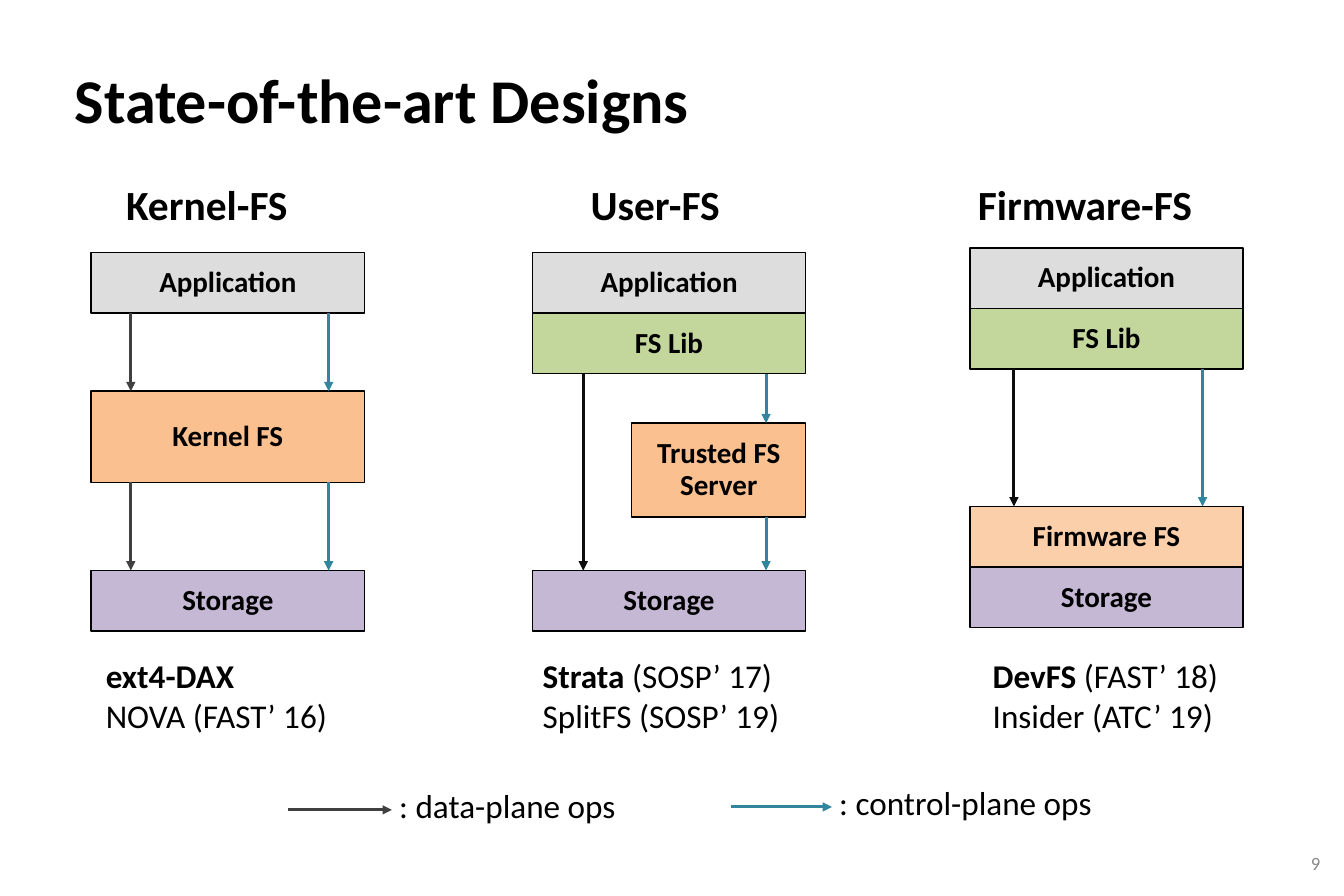
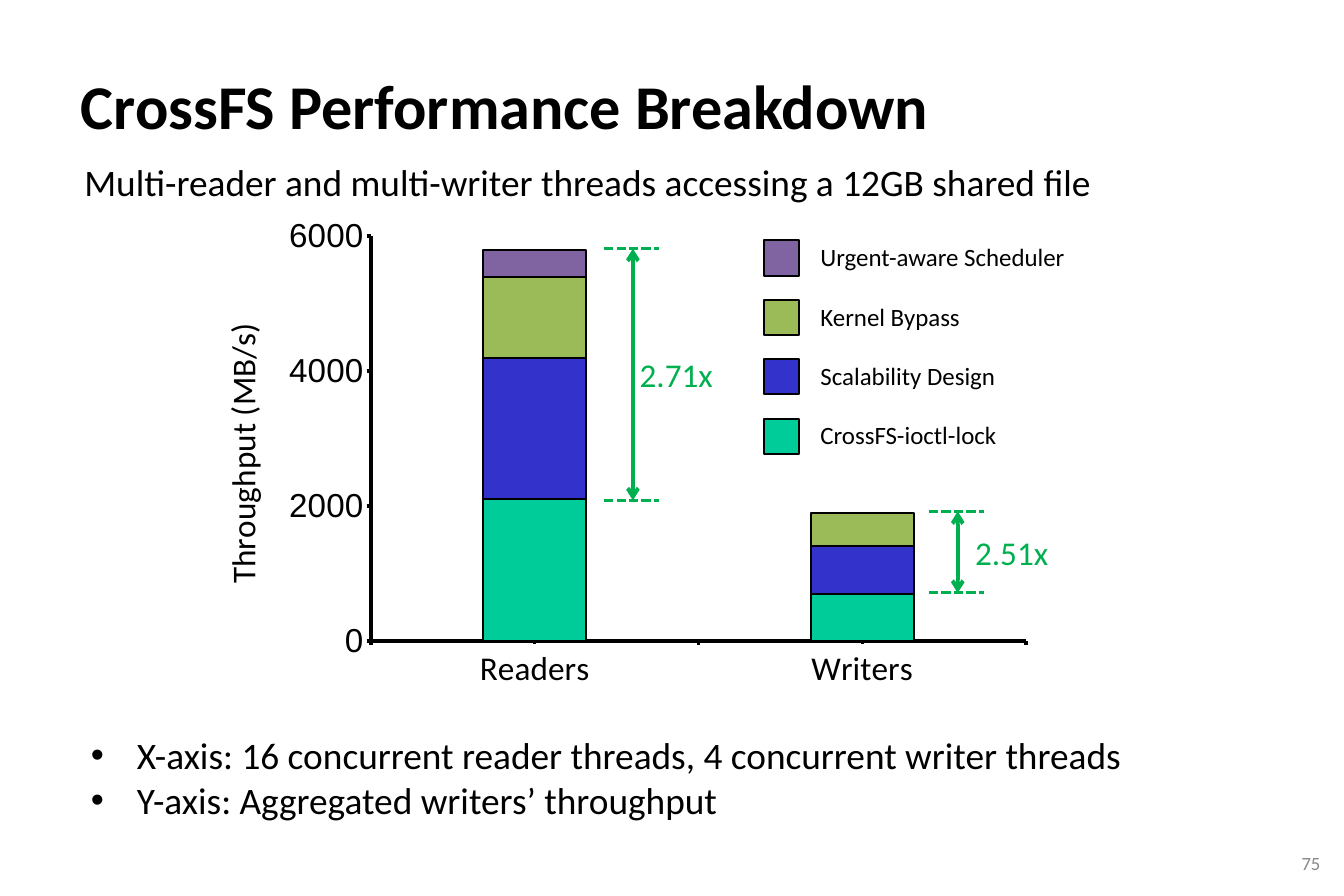
import dataclasses

import lxml.etree
import pptx
import pptx.chart.data
import pptx.dml.color
import pptx.enum.chart
import pptx.enum.dml
import pptx.enum.shapes
import pptx.enum.text
import pptx.oxml.ns
import pptx.util

Cm = pptx.util.Cm
Pt = pptx.util.Pt
qn = pptx.oxml.ns.qn
ALIGN = pptx.enum.text.PP_ALIGN
ANCHOR = pptx.enum.text.MSO_ANCHOR
TICK = pptx.enum.chart.XL_TICK_MARK


@dataclasses.dataclass(frozen=True)
class Theme:
    font: str = "Calibri"
    axis_font: str = "Arial"
    ink: str = "000000"
    muted: str = "888888"
    data: str = "404040"
    direct: str = "0D0D0D"
    control: str = "31859C"
    gain: str = "00B050"
    application: tuple = ("DDDDDD", 100)
    library: tuple = ("C3D69B", 100)
    kernel: tuple = ("FAC090", 100)
    firmware: tuple = ("FAC090", 76)
    storage: tuple = ("B3A2C7", 76)
    series: tuple = ("00CC99", "3333CC", "9BBB59", "8064A2")
    title: int = 60
    heading: int = 40
    body: int = 36
    label: int = 32
    layer: int = 28
    key: int = 24
    number: int = 18


THEME = Theme()


def rgb(value):
    return pptx.dml.color.RGBColor.from_string(value)


def write(frame, *lines, size=THEME.label, color=THEME.ink, bold=False, font=THEME.font,
          align=ALIGN.LEFT, spacing=None, indent=None):
    for index, line in enumerate(lines):
        paragraph = frame.paragraphs[0] if index == 0 else frame.add_paragraph()
        paragraph.alignment = align
        if spacing:
            paragraph.line_spacing = spacing
        if indent:
            properties = paragraph._p.get_or_add_pPr()
            properties.set("marL", str(Cm(indent)))
            properties.set("indent", str(-Cm(indent)))
            lxml.etree.SubElement(properties, qn("a:buFont"), typeface=THEME.axis_font)
            lxml.etree.SubElement(properties, qn("a:buChar"), char="•")
        for text, strong in [(line, bold)] if isinstance(line, str) else line:
            run = paragraph.add_run()
            run.text = text
            run.font.name = font
            run.font.size = Pt(size)
            run.font.bold = strong
            run.font.color.rgb = rgb(color)


def set_frame(frame, anchor=ANCHOR.TOP, inset=(0.25, 0.13)):
    frame.word_wrap = True
    frame.auto_size = pptx.enum.text.MSO_AUTO_SIZE.NONE
    frame.vertical_anchor = anchor
    frame.margin_left = frame.margin_right = Cm(inset[0])
    frame.margin_top = frame.margin_bottom = Cm(inset[1])


def add_text(shapes, left, top, width, height, *lines, anchor=ANCHOR.TOP, **style):
    frame = shapes.add_textbox(Cm(left), Cm(top), Cm(width), Cm(height)).text_frame
    set_frame(frame, anchor)
    write(frame, *lines, **style)


def add_rect(shapes, left, top, width, height, fill, alpha=100, weight=1.5):
    rect = shapes.add_shape(pptx.enum.shapes.MSO_SHAPE.RECTANGLE,
                            Cm(left), Cm(top), Cm(width), Cm(height))
    rect.shadow.inherit = False
    rect.fill.solid()
    rect.fill.fore_color.rgb = rgb(fill)
    if alpha < 100:
        tint = rect._element.spPr.find(qn("a:solidFill"))[0]
        lxml.etree.SubElement(tint, qn("a:alpha"), val=str(alpha * 1000))
    rect.line.color.rgb = rgb(THEME.ink)
    rect.line.width = Pt(weight)
    return rect


def add_line(shapes, x1, y1, x2, y2, color, weight=3, head=None, tail=None, dash=None):
    line = shapes.add_connector(pptx.enum.shapes.MSO_CONNECTOR.STRAIGHT,
                                Cm(x1), Cm(y1), Cm(x2), Cm(y2))
    line.line.color.rgb = rgb(color)
    line.line.width = Pt(weight)
    if dash:
        line.line.dash_style = dash
    stroke = line._element.spPr.find(qn("a:ln"))
    for tag, kind in (("a:headEnd", head), ("a:tailEnd", tail)):
        if kind:
            lxml.etree.SubElement(stroke, qn(tag), type=kind)
    lxml.etree.SubElement(line._element.spPr, qn("a:effectLst"))


def start_slide(deck, title, number, left, top):
    slide = deck.slides.add_slide(deck.slide_layouts[5])
    heading = slide.shapes.title
    heading.left, heading.top, heading.width, heading.height = map(Cm, (left, top, 40.1, 3.68))
    set_frame(heading.text_frame, inset=(0.13, 0.13))
    write(heading.text_frame, title, size=THEME.title, bold=True, spacing=1.41)
    add_text(slide.shapes, 42.9, 28.83, 2.27, 1.07, number, size=THEME.number,
             color=THEME.muted, align=ALIGN.RIGHT, anchor=ANCHOR.MIDDLE)
    return slide


@dataclasses.dataclass(frozen=True)
class Layer:
    text: str
    top: float
    fill: tuple
    indent: float = 0
    height: float = 2.06


@dataclasses.dataclass(frozen=True)
class Design:
    heading: str
    left: float
    heading_indent: float
    layers: tuple
    flows: tuple
    papers: tuple
    papers_indent: float


DESIGNS = (
    Design("Kernel-FS", 3.1, 0.94,
           (Layer("Application", 2.62, THEME.application),
            Layer("Kernel FS", 7.34, THEME.kernel, height=3.1),
            Layer("Storage", 13.44, THEME.storage)),
           ((1.35, 0, 1, THEME.data), (8.08, 0, 1, THEME.control),
            (1.35, 1, 2, THEME.data), (8.08, 1, 2, THEME.control)),
           ([("ext4-DAX", True)], "NOVA (FAST’ 16)"), 0.25),
    Design("User-FS", 18.11, 1.73,
           (Layer("Application", 2.62, THEME.application),
            Layer("FS Lib", 4.68, THEME.library),
            Layer("Trusted FS Server", 8.43, THEME.kernel, indent=3.38, height=3.18),
            Layer("Storage", 13.44, THEME.storage)),
           ((1.73, 1, 3, THEME.direct), (7.95, 1, 2, THEME.control),
            (7.95, 2, 3, THEME.control)),
           ([("Strata", True), (" (SOSP’ 17)", False)], "SplitFS (SOSP’ 19)"), 0.1),
    Design("Firmware-FS", 32.99, 0.03,
           (Layer("Application", 2.46, THEME.application),
            Layer("FS Lib", 4.52, THEME.library),
            Layer("Firmware FS", 11.26, THEME.firmware),
            Layer("Storage", 13.32, THEME.storage)),
           ((1.5, 1, 2, THEME.direct), (7.92, 1, 2, THEME.control)),
           ([("DevFS", True), (" (FAST’ 18)", False)], "Insider (ATC’ 19)"), 0.53),
)


def design_column(slide, design, top, width):
    shapes = slide.shapes.add_group_shape().shapes
    left = design.left
    add_text(shapes, left + design.heading_indent, top, width, 1.96, design.heading,
             size=THEME.heading, bold=True)
    for layer in design.layers:
        rect = add_rect(shapes, left + layer.indent, top + layer.top,
                        width - layer.indent, layer.height, *layer.fill)
        set_frame(rect.text_frame, ANCHOR.MIDDLE, inset=(0.13, 0))
        write(rect.text_frame, layer.text, size=THEME.layer, bold=True,
              align=ALIGN.CENTER, spacing=0.93)
    for x, source, target, color in design.flows:
        upper, lower = design.layers[source], design.layers[target]
        add_line(shapes, left + x, top + upper.top + upper.height,
                 left + x, top + lower.top, color, tail="triangle")
    add_text(shapes, left + design.papers_indent, top + 16.2, width, 3, *design.papers)


def flow_key(slide, left, top, length, text, color):
    shapes = slide.shapes.add_group_shape().shapes
    add_text(shapes, left + length, top, 9.3, 1.63, text)
    add_line(shapes, left, top + 0.98, left + length, top + 0.98, color, tail="triangle")


def throughput_chart(slide, left, top, width, height):
    content = pptx.chart.data.CategoryChartData()
    content.categories = ["Readers", "Writers"]
    for number, values in enumerate(((2100, 700), (2100, 700), (1200, 500), (400, 0)), 1):
        content.add_series(f"Series {number}", values)
    chart = slide.shapes.add_chart(pptx.enum.chart.XL_CHART_TYPE.COLUMN_STACKED,
                                   Cm(left), Cm(top), Cm(width), Cm(height), content).chart
    chart.has_legend = chart.has_title = False
    chart.font.name = THEME.axis_font
    chart.font.size = Pt(10)
    chart.font.color.rgb = rgb(THEME.ink)
    bars = chart.plots[0]
    bars.gap_width, bars.overlap, bars.vary_by_categories = 219, 100, False
    for series, color in zip(bars.series, THEME.series):
        series.format.fill.solid()
        series.format.fill.fore_color.rgb = rgb(color)
        series.format.line.color.rgb = rgb(THEME.ink)
        series.format.line.width = Pt(2)
    groups, speed = chart.category_axis, chart.value_axis
    for axis, font in ((groups, THEME.font), (speed, THEME.axis_font)):
        axis.has_major_gridlines = False
        axis.major_tick_mark = TICK.OUTSIDE
        axis.minor_tick_mark = TICK.NONE
        axis.format.line.color.rgb = rgb(THEME.ink)
        axis.format.line.width = Pt(3.25)
        axis.tick_labels.font.name = font
        axis.tick_labels.font.size = Pt(THEME.label)
        axis.tick_labels.font.color.rgb = rgb(THEME.ink)
    groups.minor_tick_mark = TICK.OUTSIDE
    speed.minimum_scale, speed.maximum_scale, speed.major_unit = 0, 6000, 2000
    write(speed.axis_title.text_frame, "Throughput (MB/s)", align=ALIGN.CENTER)
    speed.axis_title._element.xpath(".//a:bodyPr")[0].set("rot", "-5400000")
    place_plot(chart, x=0.188, y=0.056, w=0.782, h=0.815)


def place_plot(chart, **box):
    area = chart._chartSpace.xpath("c:chart/c:plotArea")[0]
    for layout in area.findall(qn("c:layout")):
        area.remove(layout)
    layout = lxml.etree.Element(qn("c:layout"))
    area.insert(0, layout)
    manual = lxml.etree.SubElement(layout, qn("c:manualLayout"))
    settings = {"layoutTarget": "inner", "xMode": "edge", "yMode": "edge", **box}
    for tag, value in settings.items():
        lxml.etree.SubElement(manual, qn(f"c:{tag}"), val=str(value))


def series_key(slide, left, top, pitch):
    names = ("CrossFS-ioctl-lock", "Scalability Design", "Kernel Bypass",
             "Urgent-aware Scheduler")
    for row, (name, color) in enumerate(reversed(list(zip(names, THEME.series)))):
        shapes = slide.shapes.add_group_shape().shapes
        y = top + row * pitch
        add_text(shapes, left + 1.68, y - 0.08, 9.65, 1.27, name, size=THEME.key)
        add_rect(shapes, left, y, 1.2, 1.2, color, weight=2)


def gain_bracket(slide, left, top, height, text, label_indent):
    shapes = slide.shapes.add_group_shape().shapes
    width, middle = 1.88, left + 0.98
    for y in (top, top + height):
        add_line(shapes, left, y, left + width, y, THEME.gain,
                 dash=pptx.enum.dml.MSO_LINE.SQUARE_DOT)
    add_line(shapes, middle, top, middle, top + height, THEME.gain, weight=3.75,
             head="arrow", tail="arrow")
    add_text(shapes, left + label_indent, top + (height - 1.63) / 2, 3.6, 1.63, text,
             color=THEME.gain)


def designs_slide(deck):
    slide = start_slide(deck, "State-of-the-art Designs", "9", 2.41, 0.91)
    for design in DESIGNS:
        design_column(slide, design, 5.97, 9.3)
    flow_key(slide, 9.8, 26.57, 3.53, ": data-plane ops", THEME.data)
    flow_key(slide, 24.87, 26.47, 3.43, ": control-plane ops", THEME.control)


def breakdown_slide(deck):
    slide = start_slide(deck, "CrossFS Performance Breakdown", "75", 2.62, 1.12)
    add_text(slide.shapes, 2.62, 5.28, 39.65, 1.8,
             "Multi-reader and multi-writer threads accessing a 12GB shared file",
             size=THEME.body)
    throughput_chart(slide, 7.26, 7.09, 28.5, 16.89)
    series_key(slide, 25.98, 8.18, 2.02)
    add_text(slide.shapes, 2.84, 24.79, 39.65, 3.33,
             "X-axis: 16 concurrent reader threads, 4 concurrent writer threads",
             "Y-axis: Aggregated writers’ throughput", size=THEME.body, indent=1.57)
    gain_bracket(slide, 20.55, 8.46, 8.56, "2.71x", 0.96)
    gain_bracket(slide, 31.6, 17.4, 2.77, "2.51x", 1.32)


def main():
    deck = pptx.Presentation()
    deck.slide_width, deck.slide_height = Cm(45.72), Cm(30.48)
    designs_slide(deck)
    breakdown_slide(deck)
    deck.save("out.pptx")


if __name__ == "__main__":
    main()
